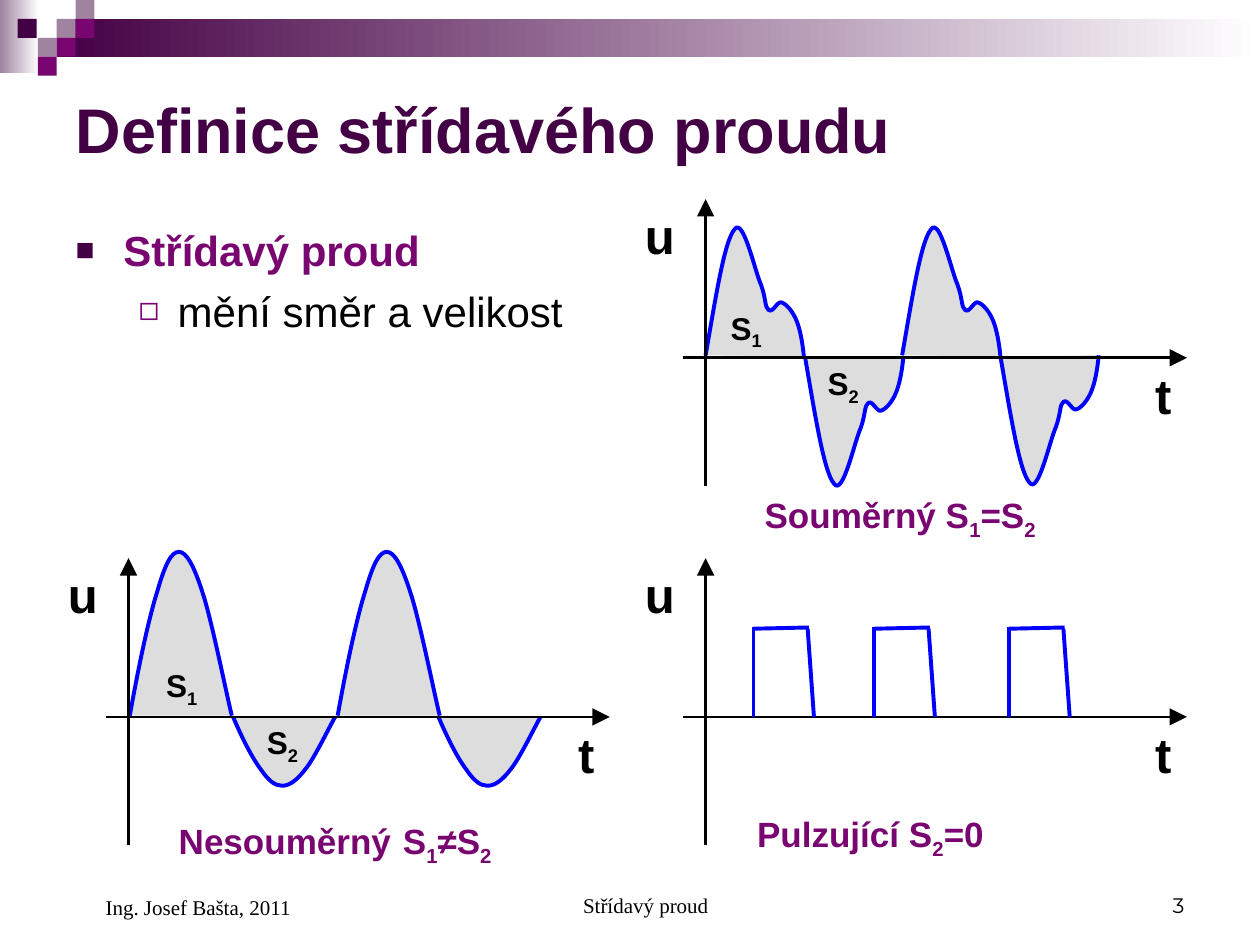
from lxml.etree import SubElement
from pptx import Presentation
from pptx.dml.color import RGBColor
from pptx.enum.shapes import MSO_CONNECTOR as Connector, MSO_SHAPE as Shape
from pptx.enum.text import MSO_ANCHOR as Anchor, MSO_AUTO_SIZE as AutoSize, PP_ALIGN as Align
from pptx.oxml.ns import qn
from pptx.util import Inches, Pt

DARK, PURPLE, MAUVE = "440044", "790571", "9F839F"
BLACK, WHITE, BLUE, GREY = "000000", "FFFFFF", "0000FF", "DDDDDD"
SUB = {"baseline": -25000}

HEADING = {"size": Pt(36), "name": "Arial", "bold": True, "color": DARK}
TOPIC = {"size": Pt(24), "name": "Arial", "bold": True, "color": PURPLE}
DETAIL = {**TOPIC, "bold": False, "color": BLACK}
AXIS_NAME = {"size": Pt(28), "name": "Arial", "bold": True, "color": BLACK}
AREA_NAME = {**AXIS_NAME, "size": Pt(18)}
CAPTION = {**AXIS_NAME, "size": Pt(20), "color": PURPLE}
FOOTER = {"size": Pt(12), "name": "Times New Roman", "color": BLACK}

RIPPLED_WAVE = [
    (0, 0), (0.08, 0.46), (0.15, 0.91), (0.23, 1), (0.3, 1.1), (0.39, 0.67), (0.44, 0.56),
    (0.48, 0.45), (0.47, 0.38), (0.5, 0.36), (0.53, 0.33), (0.57, 0.43), (0.6, 0.42),
    (0.64, 0.41), (0.69, 0.35), (0.72, 0.28), (0.75, 0.21), (0.77, 0.1), (0.78, -0.01)]
SMOOTH_WAVE = [
    (0, 0), (0.07, 0.39), (0.15, 0.77), (0.22, 0.99), (0.28, 1.2), (0.33, 1.3), (0.39, 1.3),
    (0.45, 1.3), (0.51, 1.19), (0.58, 0.97), (0.65, 0.76), (0.77, 0.16), (0.81, 0)]


def rgb(color):
    """Turn a hex string into a colour."""
    return RGBColor.from_string(color)


def apply_format(run, values):
    """Set the font attributes of a run from a dict."""
    for key, value in values.items():
        if key == "color":
            run.font.color.rgb = rgb(value)
        elif key == "baseline":
            run._r.get_or_add_rPr().set(key, str(value))
        else:
            setattr(run.font, key, value)


def write(paragraph, pieces, style):
    """Add (text, changes) pieces to a paragraph in one style."""
    for words, changes in pieces:
        run = paragraph.add_run()
        run.text = words
        apply_format(run, {**style, **changes})


def place(item, left, top, width, height):
    """Move and size a placeholder."""
    box = {"left": left, "top": top, "width": width, "height": height}
    for key, value in box.items():
        setattr(item, key, Inches(value))


def add_label(slide, box, pieces, style, align=Align.LEFT, anchor=Anchor.TOP, margin=0):
    """Add a text box with one formatted paragraph."""
    frame = slide.shapes.add_textbox(*map(Inches, box)).text_frame
    frame.word_wrap = True
    frame.vertical_anchor = anchor
    paragraph = frame.paragraphs[0]
    paragraph.alignment = align
    if margin:
        paragraph._p.get_or_add_pPr().set("marL", str(Inches(margin)))
    write(paragraph, pieces, style)


def add_block(slide, box, color, fades=False):
    """Add a header rectangle, plain or fading to white on the right."""
    block = slide.shapes.add_shape(Shape.RECTANGLE, *map(Inches, box))
    block.shadow.inherit = False
    block.line.fill.background()
    if fades:
        block.fill.gradient()
        block.fill.gradient_angle = 180
        for stop, shade in zip(block.fill.gradient_stops, (WHITE, color)):
            stop.color.rgb = rgb(shade)
    else:
        block.fill.solid()
        block.fill.fore_color.rgb = rgb(color)


def add_line(slide, start, end, color, width, arrow=False):
    """Add a straight line, with an optional arrowhead at its end."""
    ends = map(Inches, (*start, *end))
    line = slide.shapes.add_connector(Connector.STRAIGHT, *ends)
    line.line.color.rgb = rgb(color)
    line.line.width = Pt(width)
    if arrow:
        SubElement(line.line._get_or_add_ln(), qn("a:tailEnd"),
                   type="triangle", w="lg", len="lg")
    SubElement(line._element.spPr, qn("a:effectLst"))


def bend(outline):
    """Turn each three line segments of an outline into one Bézier curve."""
    route = next(outline._element.spPr.iter(qn("a:path")))
    segments = route.findall(qn("a:lnTo"))
    for first in range(0, len(segments), 3):
        curve = SubElement(route, qn("a:cubicBezTo"))
        for segment in segments[first:first + 3]:
            curve.append(segment[0])
            route.remove(segment)


def add_half_wave(slide, wave, x, y, scale):
    """Add a filled half wave rising from a point; a negative scale turns it down."""
    points = [(Inches(x + dx), Inches(y - scale * dy)) for dx, dy in wave]
    builder = slide.shapes.build_freeform(*points[0])
    builder.add_line_segments(points[1:], close=False)
    half = builder.convert_to_shape()
    bend(half)
    half.shadow.inherit = False
    half.fill.solid()
    half.fill.fore_color.rgb = rgb(GREY)
    half.line.color.rgb = rgb(BLUE)
    half.line.width = Pt(2.25)


def add_axes(slide, x, y):
    """Add the t and u axes that cross at a point."""
    add_line(slide, (x - 0.18, y), (x + 3.82, y), BLACK, 1.5, arrow=True)
    add_line(slide, (x, y + 1.02), (x, y - 1.26), BLACK, 1.5, arrow=True)
    add_label(slide, (x - 0.58, y - 1.26, 0.67, 0.57), [("u", {})], AXIS_NAME)
    add_label(slide, (x + 3.47, y + 0.01, 0.45, 0.57), [("t", {})], AXIS_NAME)


def add_pulse(slide, x, y):
    """Add one rectangular pulse standing on the t axis."""
    add_line(slide, (x, y), (x, y - 0.71), BLUE, 2.25)
    add_line(slide, (x + 0.48, y), (x + 0.43, y - 0.7), BLUE, 2.25)
    add_line(slide, (x + 0.44, y - 0.71), (x, y - 0.7), BLUE, 2.25)


def add_area_name(slide, number, x, y):
    """Add the name of an area under a half wave."""
    add_label(slide, (x, y, 0.5, 0.44), [("S", {}), (number, SUB)], AREA_NAME)


def add_header(slide):
    """Add the fading bar and the small squares."""
    add_block(slide, (0, 0, 0.31, 0.58), MAUVE, fades=True)
    add_block(slide, (0.45, 0.15, 9.55, 0.3), DARK, fades=True)
    squares = [(0.45, 0.15, MAUVE), (0.6, 0, MAUVE), (0.6, 0.15, PURPLE), (0.3, 0.3, MAUVE),
               (0.14, 0.15, DARK), (0.45, 0.3, PURPLE), (0.3, 0.45, PURPLE)]
    for x, y, color in squares:
        add_block(slide, (x, y, 0.15, 0.15), color)


def set_bullet(paragraph, mark, color, percent, margin, hang):
    """Give a paragraph its bullet and hanging indent."""
    props = paragraph._p.get_or_add_pPr()
    props.set("marL", str(Inches(margin)))
    props.set("indent", str(-Inches(hang)))
    SubElement(SubElement(props, qn("a:buClr")), qn("a:srgbClr"), val=color)
    SubElement(props, qn("a:buSzPct"), val=str(percent * 1000))
    SubElement(props, qn("a:buChar"), char=mark)


def fill_placeholders(slide):
    """Write the title and the bullet list."""
    title, body = slide.shapes.title, slide.placeholders[1]
    place(title, 0.5, 0.5, 9, 1.03)
    place(body, 0.5, 1.73, 4.32, 1.17)
    for frame, anchor in ((title.text_frame, Anchor.MIDDLE), (body.text_frame, Anchor.TOP)):
        frame.auto_size = AutoSize.NONE
        frame.vertical_anchor = anchor
    heading = title.text_frame.paragraphs[0]
    heading.alignment = Align.LEFT
    write(heading, [("Definice střídavého proudu", {})], HEADING)
    topic, detail = body.text_frame.paragraphs[0], body.text_frame.add_paragraph()
    detail.level = 1
    topic.space_before, detail.space_before = Pt(0), Pt(6)
    set_bullet(topic, "■", DARK, 75, 0.38, 0.38)
    set_bullet(detail, "◻", PURPLE, 80, 0.81, 0.31)
    write(topic, [("Střídavý proud", {})], TOPIC)
    write(detail, [("mění směr a velikost", {})], DETAIL)


def add_pulsating(slide):
    """Add the graph of the pulsating current."""
    add_axes(slide, 5.6, 5.69)
    for x in (5.98, 6.94, 8.01):
        add_pulse(slide, x, 5.69)
    add_label(slide, (5.91, 6.4, 3.21, 0.48),
              [("Pulzující S", {}), ("2", SUB), ("=0", {})], CAPTION)


def add_symmetric(slide):
    """Add the graph with equal areas."""
    for x, y, scale in ((5.6, 2.82, 1), (6.39, 2.84, -1), (7.16, 2.82, 1), (7.94, 2.83, -1)):
        add_half_wave(slide, RIPPLED_WAVE, x, y, scale)
    add_axes(slide, 5.6, 2.84)
    add_area_name(slide, "1", 5.7, 2.4)
    add_area_name(slide, "2", 6.47, 2.84)
    add_label(slide, (5.97, 3.87, 3.21, 0.48),
              [("Souměrný S", {}), ("1", SUB), ("=S", {}), ("2", SUB)], CAPTION)


def add_asymmetric(slide):
    """Add the graph with unequal areas."""
    for x, y, scale in ((1.03, 5.68, 1), (1.85, 5.69, -0.42), (2.68, 5.68, 1), (3.48, 5.69, -0.42)):
        add_half_wave(slide, SMOOTH_WAVE, x, y, scale)
    add_axes(slide, 1.02, 5.69)
    add_area_name(slide, "1", 1.22, 5.24)
    add_area_name(slide, "2", 2.02, 5.69)
    add_label(slide, (1.32, 6.4, 3.21, 0.54),
              [("Nesouměrný", {}), (" ", {"size": Pt(24), "bold": False, "color": BLACK}),
               ("S", {}), ("1", SUB), ("≠S", {}), ("2", SUB)], CAPTION)


def add_footer(slide):
    """Add the author, the subject and the page number."""
    add_label(slide, (0.5, 6.83, 2.33, 0.52), [("Ing. Josef Bašta, 2011", {})], FOOTER,
              anchor=Anchor.BOTTOM, margin=0.24)
    add_label(slide, (3.42, 6.83, 3.17, 0.5), [("Střídavý proud", {})], FOOTER,
              Align.CENTER, Anchor.BOTTOM, margin=0.24)
    add_label(slide, (7.17, 6.83, 2.33, 0.5), [("3", {"name": "Montserrat"})], FOOTER,
              Align.RIGHT, Anchor.BOTTOM)


def main():
    """Build the slide and save it."""
    deck = Presentation()
    deck.slide_width, deck.slide_height = Inches(10), Inches(7.5)
    slide = deck.slides.add_slide(deck.slide_layouts[1])
    for add_part in (add_header, fill_placeholders, add_pulsating, add_symmetric,
                     add_asymmetric, add_footer):
        add_part(slide)
    deck.save("out.pptx")


if __name__ == "__main__":
    main()
